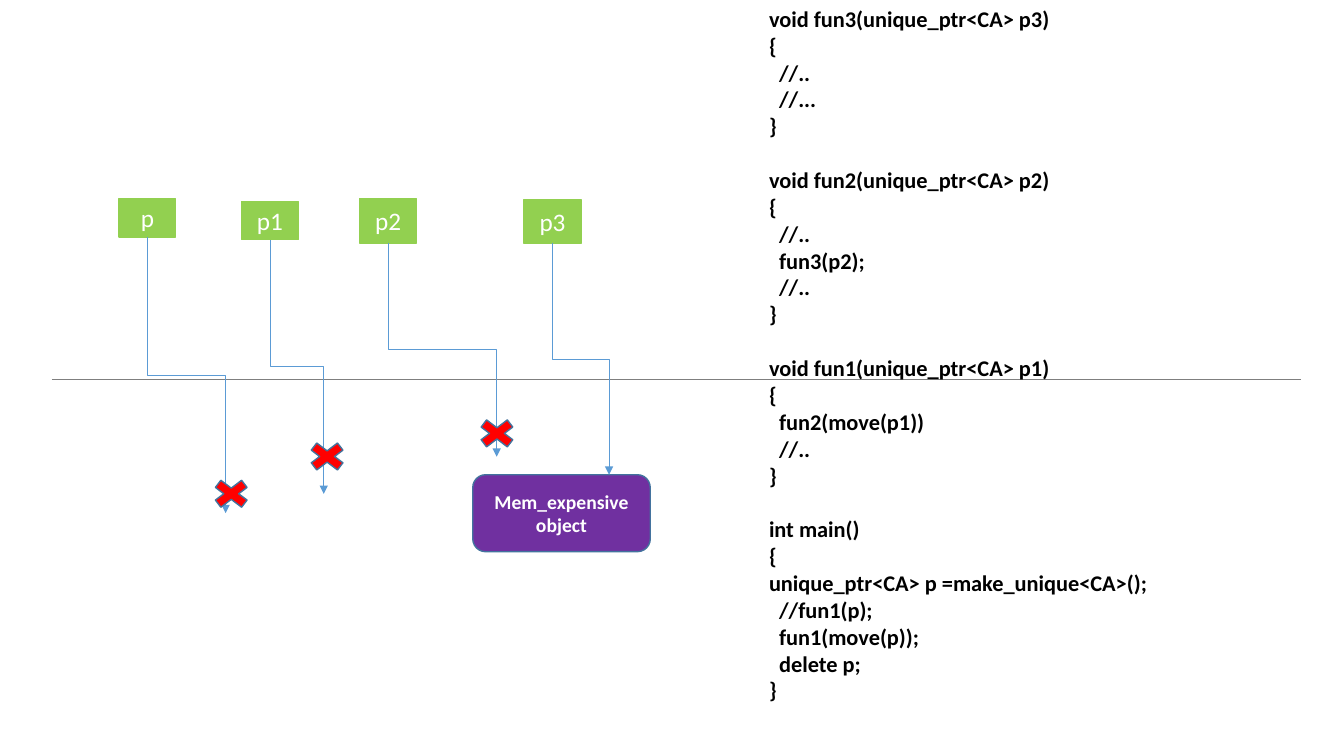
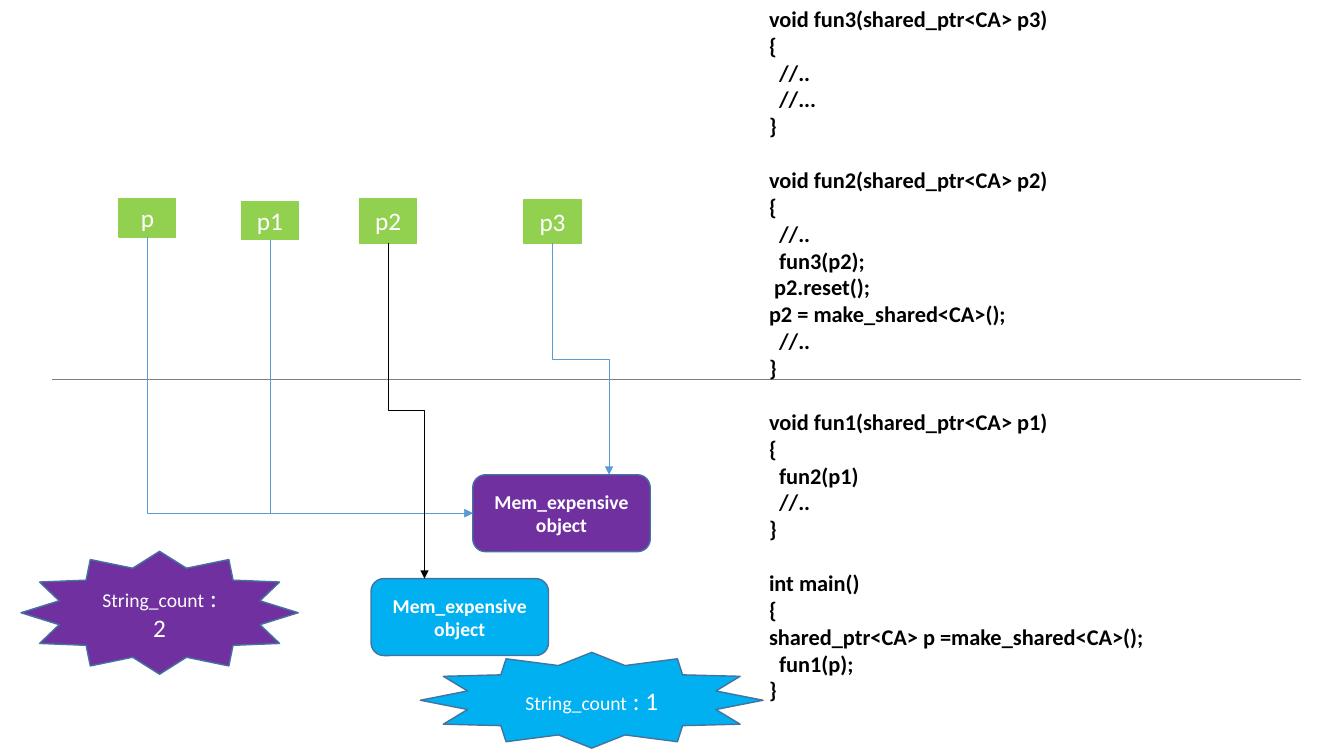
import pptx
import pptx.util
import pptx.dml.color
import pptx.enum.shapes
import pptx.enum.text
import pptx.oxml
import pptx.oxml.ns
from dataclasses import dataclass

Pt = pptx.util.Pt
Shape = pptx.enum.shapes.MSO_SHAPE
Link = pptx.enum.shapes.MSO_CONNECTOR
Align = pptx.enum.text.PP_ALIGN
Anchor = pptx.enum.text.MSO_ANCHOR


@dataclass(frozen=True)
class Theme:
    font: str = "Calibri"
    white: str = "FFFFFF"
    black: str = "000000"
    green: str = "92D050"
    purple: str = "7030A0"
    cyan: str = "00B0F0"
    red: str = "FF0000"
    blue: str = "5B9BD5"
    edge: str = "43739E"
    gray: str = "7F7F7F"
    large: int = 18
    code: int = 16
    small: int = 14
    thin: float = 0.5
    line: float = 1
    gap: float = 19.2


theme = Theme()

POINTERS = {
    "p": (85, 142, 40.5, 27.3),
    "p1": (172.6, 144, 40.5, 27.3),
    "p2": (257, 142, 40.5, 31.5),
    "p3": (374.4, 142.4, 40.5, 31.5),
}
OBJECT = "Mem_expensive object"
BLOCK = (126.8, 55)
HEAP = (337.7, 339.1)
FRESH = (265, 413.3)
SIDE = (HEAP[0], HEAP[1] + BLOCK[1] / 2)
TOP = (435, HEAP[1])
RULE = (37, 929, 270.8)
CODE = (542.2, 0, 406.8, 511.2)
CROSS = (36, 27.2)

SLIDES = [
    {
        "code": [
            "void fun3(unique_ptr<CA> p3)\n{\n  //..\n  //...\n}",
            "void fun2(unique_ptr<CA> p2)\n{\n  //..\n  fun3(p2);\n  //..\n}",
            "void fun1(unique_ptr<CA> p1)\n{\n  fun2(move(p1))\n  //..\n}",
            "int main()\n{\nunique_ptr<CA> p =make_unique<CA>();\n"
            "  //fun1(p);\n  fun1(move(p));\n  delete p;\n}",
        ],
        "blocks": [(HEAP, theme.purple)],
        "arrows": [
            ("p", (161.2, 366.5), theme.blue),
            ("p1", (231.3, 352.8), theme.blue),
            ("p2", (354.8, 326.2), theme.blue),
            ("p3", TOP, theme.blue),
        ],
        "crosses": [(147.2, 339.1), (215.7, 312.5), (337, 296)],
        "stars": [],
    },
    {
        "code": [
            "void fun3(shared_ptr<CA> p3)\n{\n  //..\n  //...\n}",
            "void fun2(shared_ptr<CA> p2)\n{\n  //..\n  fun3(p2);\n"
            " p2.reset();\np2 = make_shared<CA>();\n  //..\n}",
            "void fun1(shared_ptr<CA> p1)\n{\n  fun2(p1)\n  //..\n}",
            "int main()\n{\nshared_ptr<CA> p =make_shared<CA>();\n  fun1(p);\n}",
        ],
        "blocks": [(HEAP, theme.purple), (FRESH, theme.cyan)],
        "arrows": [
            ("p", SIDE, theme.blue),
            ("p1", SIDE, theme.blue),
            ("p2", (303.2, FRESH[1]), theme.black),
            ("p3", TOP, theme.blue),
        ],
        "crosses": [],
        "stars": [
            ((15, 393.8, 198, 87.8), theme.purple, "2"),
            ((300.3, 466, 244.8, 68.4), theme.cyan, "1"),
        ],
    },
]


def rgb(color):
    return pptx.dml.color.RGBColor.from_string(color)


def write(shape, groups, size=theme.large, color=theme.white, bold=False,
          align=Align.CENTER, anchor=Anchor.MIDDLE):
    frame = shape.text_frame
    frame.word_wrap = True
    frame.vertical_anchor = anchor
    rows = [(row, g > 0 and i == 0)
            for g, group in enumerate(groups) for i, row in enumerate(group)]
    for n, (row, apart) in enumerate(rows):
        para = frame.add_paragraph() if n else frame.paragraphs[0]
        para.alignment = align
        if apart:
            para.space_before = Pt(theme.gap)
        for words, points in [(row, size)] if isinstance(row, str) else row:
            run = para.add_run()
            run.text = words
            font = run.font
            font.name, font.size, font.bold = theme.font, Pt(points), bold
            font.color.rgb = rgb(color)


def draw(slide, kind, box, fill, edge=theme.edge):
    shape = slide.shapes.add_shape(kind, *map(Pt, box))
    shape.shadow.inherit = False
    shape.fill.solid()
    shape.fill.fore_color.rgb = rgb(fill)
    shape.line.color.rgb = rgb(edge)
    shape.line.width = Pt(theme.line)
    return shape


def link(slide, kind, start, end, color):
    line = slide.shapes.add_connector(kind, *map(Pt, start + end))
    line.line.color.rgb = rgb(color)
    line.line.width = Pt(theme.thin)
    pptx.oxml.ns.qn("a:effectLst")
    prop = line._element.spPr
    prop.append(pptx.oxml.parse_xml(
        "<a:effectLst %s/>" % pptx.oxml.ns.nsdecls("a")))
    return line


def arrow(slide, start, end, color):
    wide, high = end[0] - start[0], end[1] - start[1]
    left = start[0] + (wide - high) / 2
    top = start[1] + (high - wide) / 2
    line = link(slide, Link.ELBOW, (left, top), (left + high, top + wide), color)
    prop = line._element.spPr
    prop.xfrm.set("rot", "16200000")
    prop.xfrm.set("flipH", "1")
    if end == SIDE:
        prop.find(pptx.oxml.ns.qn("a:prstGeom")).set("prst", "bentConnector2")
    line.line._get_or_add_ln().append(pptx.oxml.parse_xml(
        '<a:tailEnd %s type="triangle"/>' % pptx.oxml.ns.nsdecls("a")))


def build(slide, data):
    for spot, fill in data["blocks"]:
        block = draw(slide, Shape.ROUNDED_RECTANGLE, spot + BLOCK, fill)
        write(block, [[OBJECT]], size=theme.small, bold=True)
    left, right, level = RULE
    link(slide, Link.STRAIGHT, (left, level), (right, level), theme.gray)
    panel = slide.shapes.add_textbox(*map(Pt, CODE))
    write(panel, [part.split("\n") for part in data["code"]], size=theme.code,
          color=theme.black, bold=True, align=Align.LEFT, anchor=Anchor.TOP)
    for name, box in POINTERS.items():
        write(draw(slide, Shape.RECTANGLE, box, theme.green, theme.green), [[name]])
    for name, end, color in data["arrows"]:
        x, y, wide, high = POINTERS[name]
        arrow(slide, (x + wide / 2, y + high), end, color)
    for spot in data["crosses"]:
        draw(slide, Shape.MATH_MULTIPLY, spot + CROSS, theme.red)
    for box, fill, count in data["stars"]:
        star = draw(slide, Shape.STAR_12_POINT, box, fill)
        write(star, [[[("String_count", theme.small), (" : " + count, theme.large)]]])


def main():
    deck = pptx.Presentation()
    deck.slide_width, deck.slide_height = Pt(960), Pt(540)
    for data in SLIDES:
        build(deck.slides.add_slide(deck.slide_layouts[6]), data)
    deck.save("out.pptx")


if __name__ == "__main__":
    main()
